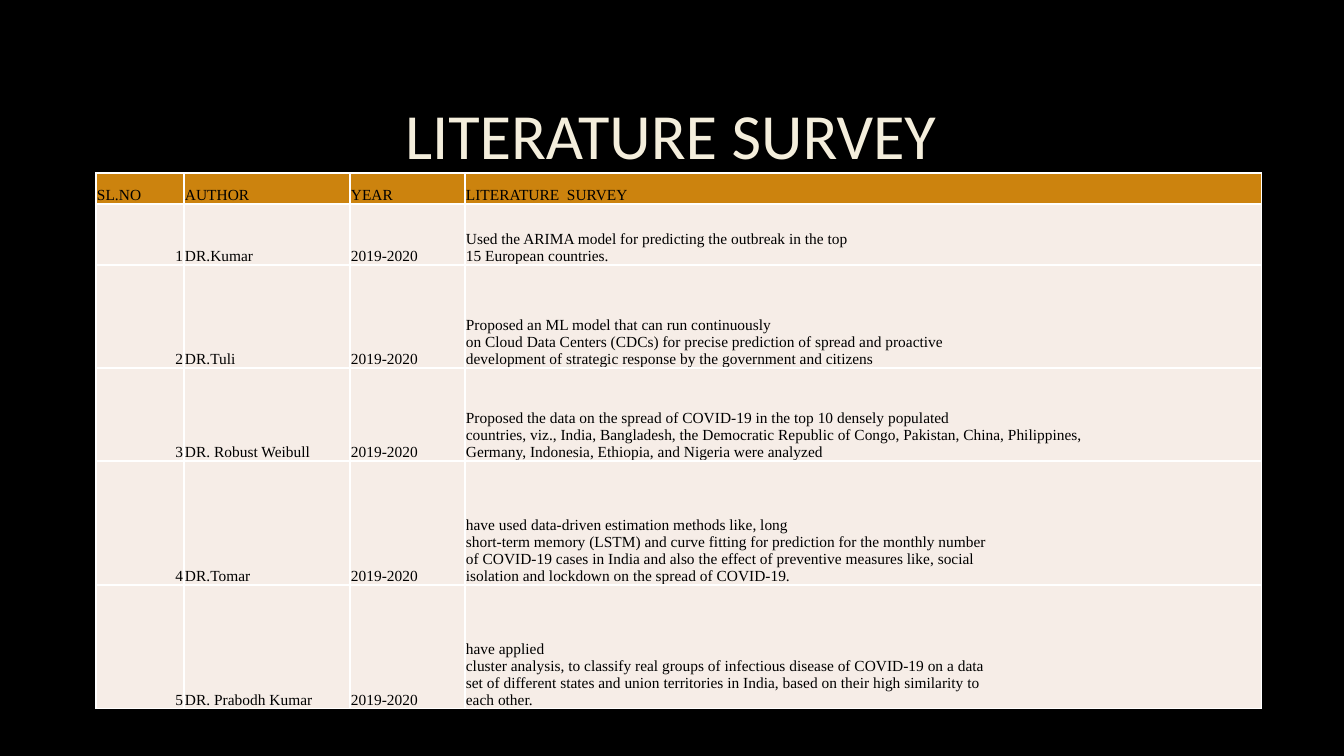
"""Build the literature survey slide: a title above a bordered table."""
from copy import deepcopy
from dataclasses import dataclass

from lxml.etree import _Element, SubElement
from pptx import Presentation
from pptx.dml.color import RGBColor
from pptx.enum.text import MSO_ANCHOR, PP_ALIGN
from pptx.oxml.ns import qn
from pptx.slide import Slide
from pptx.table import _Cell
from pptx.text.text import _Paragraph
from pptx.util import Emu, Pt

SLIDE_W, SLIDE_H = 1344, 756
SCALE = 12192000 / SLIDE_W


@dataclass(frozen=True)
class Theme:
    background: str = "000000"
    title: str = "F4EEDC"
    outline: str = "404040"
    text: str = "000000"
    header: str = "CC830E"
    body: str = "F6EDE7"
    border: str = "FFFFFF"
    title_font: str = "Calibri"
    table_font: str = "Times New Roman"
    title_size: float = 46
    table_size: float = 11
    outline_width: float = 0.75
    border_width: float = 1


@dataclass(frozen=True)
class Box:
    left: int
    top: int
    width: int
    height: int


@dataclass(frozen=True)
class Row:
    height: int
    number: str
    author: str
    year: str
    survey: str

    def texts(self) -> tuple[str, ...]:
        return self.number, self.author, self.year, self.survey


THEME = Theme()
TITLE_BOX = Box(100, 69, 1141, 139)
TABLE_LEFT, TABLE_TOP = 96, 173
COLUMN_WIDTHS = (88, 166, 115, 797)
YEARS = "2019-2020"
ROWS = (
    Row(31, "SL.NO", "AUTHOR", "YEAR", "LITERATURE  SURVEY"),
    Row(61, "1", "DR.Kumar", YEARS,
        "Used the ARIMA model for predicting the outbreak in the top\n"
        "15 European countries."),
    Row(103, "2", "DR.Tuli", YEARS,
        "Proposed an ML model that can run continuously\n"
        "on Cloud Data Centers (CDCs) for precise prediction of spread and proactive\n"
        "development of strategic response by the government and citizens"),
    Row(93, "3", "DR. Robust Weibull", YEARS,
        "Proposed the data on the spread of COVID-19 in the top 10 densely populated\n"
        "countries, viz., India, Bangladesh, the Democratic Republic of Congo, "
        "Pakistan, China, Philippines,\n"
        "Germany, Indonesia, Ethiopia, and Nigeria were analyzed"),
    Row(124, "4", "DR.Tomar", YEARS,
        "have used data-driven estimation methods like, long\n"
        "short-term memory (LSTM) and curve fitting for prediction for the monthly number\n"
        "of COVID-19 cases in India and also the effect of preventive measures like, social\n"
        "isolation and lockdown on the spread of COVID-19."),
    Row(124, "5", "DR. Prabodh Kumar", YEARS,
        "have applied\n"
        "cluster analysis, to classify real groups of infectious disease of COVID-19 on a data\n"
        "set of different states and union territories in India, based on their high similarity to\n"
        "each other."),
)


def px(length: int) -> Emu:
    return Emu(round(length * SCALE))


def set_attrs(target: object, values: dict[str, object]) -> None:
    for name, value in values.items():
        setattr(target, name, value)


def write(p: _Paragraph, text: str, font: str, size: float, color: str) -> None:
    p.text = text
    for r in p.runs:
        set_attrs(r.font, {"name": font, "size": Pt(size)})
        r.font.color.rgb = RGBColor.from_string(color)
    for br in p._p.findall(qn("a:br")):
        br.append(deepcopy(p.runs[0]._r.rPr))


def add_line(parent: _Element, tag: str, width: float, color: str) -> _Element:
    line = SubElement(parent, qn(tag), w=str(Pt(width)))
    fill = SubElement(line, qn("a:solidFill"))
    return SubElement(fill, qn("a:srgbClr"), val=color)


def add_title(s: Slide, box: Box, text: str) -> None:
    sp = s.shapes.add_textbox(px(box.left), px(box.top), px(box.width), px(box.height))
    tf = sp.text_frame
    set_attrs(tf, {"word_wrap": True, "vertical_anchor": MSO_ANCHOR.MIDDLE})
    p = tf.paragraphs[0]
    set_attrs(p, {"alignment": PP_ALIGN.CENTER, "line_spacing": 0.9})
    write(p, text, THEME.title_font, THEME.title_size, THEME.title)
    rPr = p.runs[0]._r.rPr
    color = add_line(rPr, "a:ln", THEME.outline_width, THEME.outline)
    SubElement(color, qn("a:alpha"), val="10000")
    rPr.insert(0, rPr.find(qn("a:ln")))


def fill_cell(cell: _Cell, text: str, fill: str, align: PP_ALIGN) -> None:
    set_attrs(cell, {"margin_left": px(1), "margin_right": px(1), "margin_top": px(1),
                     "margin_bottom": px(0), "vertical_anchor": MSO_ANCHOR.BOTTOM})
    p = cell.text_frame.paragraphs[0]
    p.alignment = align
    write(p, text, THEME.table_font, THEME.table_size, THEME.text)
    tcPr = cell._tc.get_or_add_tcPr()
    for side in "LRTB":
        add_line(tcPr, f"a:ln{side}", THEME.border_width, THEME.border)
    cell.fill.solid()
    cell.fill.fore_color.rgb = RGBColor.from_string(fill)


def add_survey_table(s: Slide) -> None:
    frame = s.shapes.add_table(len(ROWS), len(COLUMN_WIDTHS), px(TABLE_LEFT), px(TABLE_TOP),
                               px(sum(COLUMN_WIDTHS)), px(sum(row.height for row in ROWS)))
    table = frame.table
    for column, width in zip(table.columns, COLUMN_WIDTHS):
        column.width = px(width)
    for i, row in enumerate(ROWS):
        table.rows[i].height = px(row.height)
        for j, text in enumerate(row.texts()):
            align = PP_ALIGN.RIGHT if i and not j else PP_ALIGN.LEFT
            fill_cell(table.cell(i, j), text, THEME.body if i else THEME.header, align)


def main() -> None:
    prs = Presentation()
    set_attrs(prs, {"slide_width": px(SLIDE_W), "slide_height": px(SLIDE_H)})
    s = prs.slides.add_slide(prs.slide_layouts[6])
    s.background.fill.solid()
    s.background.fill.fore_color.rgb = RGBColor.from_string(THEME.background)
    add_title(s, TITLE_BOX, "LITERATURE SURVEY")
    add_survey_table(s)
    prs.save("out.pptx")


if __name__ == "__main__":
    main()
